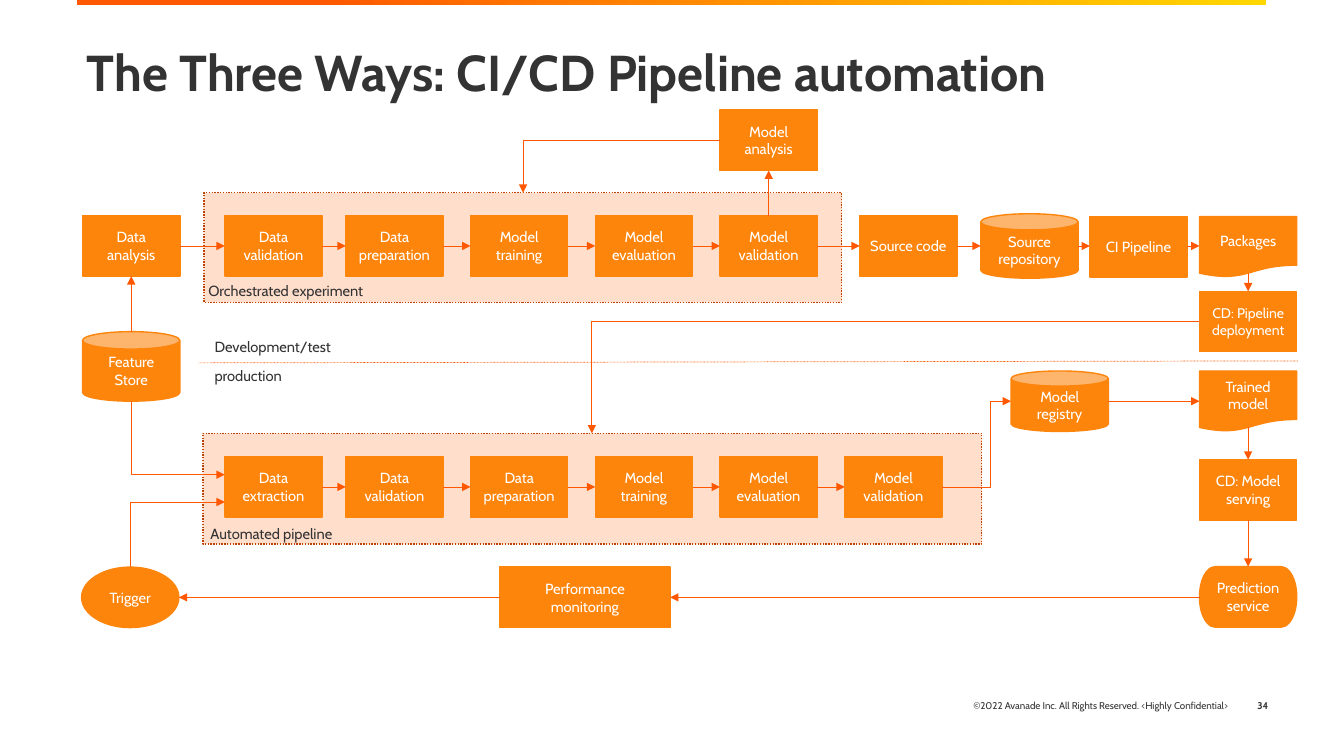
from dataclasses import dataclass
from itertools import pairwise

from lxml import etree
from pptx import Presentation
from pptx import util as u
from pptx.dml import color as clr
from pptx.enum import dml, shapes, text
from pptx.oxml import ns

COLORS = {
    "node": "FD850C", "arrow": "FF5800", "frame": "FFDECC", "frame_line": "BD4100",
    "ink": "333333", "white": "FFFFFF", "yellow": "FFD700",
}
FONT = "Cabin"
W, H = 69.5, 43.2
TOP_ROW, BOTTOM_ROW = 154.1, 326.2
TOP_MID, BOTTOM_MID = TOP_ROW + H / 2, BOTTOM_ROW + H / 2
LEFT, RIGHT = 59, 856.8
LEFT_MID, RIGHT_MID = LEFT + W / 2, RIGHT + W / 2
STEPS = [160.6] + [247 + 89.1 * i for i in range(5)]

G = shapes.MSO_SHAPE
A = text.PP_ALIGN
C = shapes.MSO_CONNECTOR


@dataclass
class Node:
    label: str
    x: float
    y: float
    kind: G = G.RECTANGLE
    w: float = W
    h: float = H
    size: float = 10.5


@dataclass
class Label:
    label: str
    x: float
    y: float
    w: float = 185
    h: float = 20.9
    size: float = 10.5
    bold: bool = False
    align: A = A.LEFT
    anchor: text.MSO_ANCHOR = text.MSO_ANCHOR.TOP


@dataclass
class Frame:
    x: float
    y: float
    w: float
    h: float


@dataclass
class Link:
    x1: float
    y1: float
    x2: float
    y2: float
    bend: str = ""
    arrow: str = "tailEnd"
    adj: float = 0
    dotted: bool = False


FRAMES = [Frame(145.7, 137.7, 455.6, 78.3), Frame(144.9, 309.6, 556.4, 79)]

TOP_STEPS = [Node(t, x, TOP_ROW) for t, x in zip(
    ["Data validation", "Data preparation", "Model training", "Model evaluation",
     "Model validation"], STEPS)]
BOTTOM_STEPS = [Node(t, x, BOTTOM_ROW) for t, x in zip(
    ["Data extraction", "Data validation", "Data preparation", "Model training",
     "Model evaluation", "Model validation"], STEPS)]
TOP_CHAIN = [
    Node("Data analysis", LEFT, TOP_ROW),
    *TOP_STEPS,
    Node("Source code", 614.1, TOP_ROW),
    Node("Source repository", 700.6, 152.7, G.CAN, h=46.1),
    Node("CI Pipeline", 778.5, 154.8),
    Node("Packages", RIGHT, 154.8, G.FLOWCHART_DOCUMENT),
]
OTHER_NODES = [
    Node("Model analysis", STEPS[4], 78.6),
    Node("CD: Pipeline deployment", RIGHT, 208.1, size=10),
    Node("Model registry", 722.2, 265, G.CAN),
    Node("Trained model", RIGHT, 265, G.FLOWCHART_DOCUMENT),
    Node("CD: Model serving", RIGHT, 328.3),
    Node("Prediction service", RIGHT, 404.8, G.FLOWCHART_TERMINATOR),
    Node("Performance monitoring", 357, 405.1, w=121.7),
    Node("Trigger", 58.3, 405.1, G.OVAL),
    Node("Feature Store", LEFT, 236.9, G.CAN, h=49.7),
]

LABELS = [
    Label("Orchestrated experiment", 141.8, 198),
    Label("Development/test", 146.2, 237.6),
    Label("production", 146.2, 258.5),
    Label("Automated pipeline", 143.3, 371.5),
    Label("©2022 Avanade Inc. All Rights Reserved. <Highly Confidential>", 560.2, 489.6,
          324, 28.8, 7, False, A.RIGHT, text.MSO_ANCHOR.MIDDLE),
    Label("34", 878.4, 489.6, 34.6, 28.8, 7, True, A.RIGHT, text.MSO_ANCHOR.MIDDLE),
]

DIVIDER = Link(141.8, 259.2, 927.4, 257.8, arrow="", dotted=True)
VALIDATION_MID = STEPS[4] + W / 2
LINKS = [
    Link(VALIDATION_MID, TOP_ROW, VALIDATION_MID, 121.8),
    Link(STEPS[4], 100.2, 373.7, 137.7, "bentConnector2"),
    Link(RIGHT, 229.7, 422.8, 309.6, "bentConnector2"),
    Link(STEPS[5] + W, BOTTOM_MID, 722.2, 286.6, "bentConnector3", adj=0.7),
    Link(STEPS[0], 339.1, LEFT_MID, 286.6, "bentConnector2", "headEnd"),
    Link(STEPS[0], 358.6, 93, 405.1, "bentConnector2", "headEnd"),
    Link(LEFT_MID, 236.9, LEFT_MID, TOP_ROW + H),
    Link(722.2 + W, 286.6, RIGHT, 286.6),
    Link(RIGHT_MID, 195.1, RIGHT_MID, 208.1),
    Link(RIGHT_MID, 305.3, RIGHT_MID, 328.3),
    Link(RIGHT_MID, 371.5, RIGHT_MID, 404.8),
    Link(RIGHT, 426.7, 478.7, 426.7),
    Link(357, 426.7, 127.8, 426.7),
]


def rgb(name: str) -> clr.RGBColor:
    return clr.RGBColor.from_string(COLORS[name])


def write(tf, content: str, size: float, color: str, bold: bool, align: A) -> None:
    tf.word_wrap = True
    p = tf.paragraphs[0]
    p.text = content
    p.alignment = align
    p.font.name = FONT
    p.font.size = u.Pt(size)
    p.font.bold = bold
    p.font.color.rgb = rgb(color)


def add_box(s, kind: G, x: float, y: float, w: float, h: float, fill: str, line: str):
    sp = s.shapes.add_shape(kind, u.Pt(x), u.Pt(y), u.Pt(w), u.Pt(h))
    sp.shadow.inherit = False
    sp.fill.solid()
    sp.fill.fore_color.rgb = rgb(fill)
    sp.line.color.rgb = rgb(line)
    sp.line.width = u.Pt(1)
    return sp


def add_frame(s, f: Frame) -> None:
    sp = add_box(s, G.RECTANGLE, f.x, f.y, f.w, f.h, "frame", "frame_line")
    sp.line.dash_style = dml.MSO_LINE.ROUND_DOT


def add_node(s, n: Node) -> None:
    sp = add_box(s, n.kind, n.x, n.y, n.w, n.h, "node", "node")
    sp.text_frame.vertical_anchor = text.MSO_ANCHOR.MIDDLE
    write(sp.text_frame, n.label, n.size, "white", False, A.CENTER)


def add_label(s, b: Label) -> None:
    sp = s.shapes.add_textbox(u.Pt(b.x), u.Pt(b.y), u.Pt(b.w), u.Pt(b.h))
    sp.text_frame.vertical_anchor = b.anchor
    write(sp.text_frame, b.label, b.size, "ink", b.bold, b.align)


def add_link(s, k: Link) -> None:
    c = s.shapes.add_connector(C.ELBOW if k.bend else C.STRAIGHT,
                               u.Pt(k.x1), u.Pt(k.y1), u.Pt(k.x2), u.Pt(k.y2))
    c.line.color.rgb = rgb("arrow")
    c.line.width = u.Pt(0.5)
    if k.dotted:
        c.line.dash_style = dml.MSO_LINE.ROUND_DOT
    pr = c._element.spPr
    if k.bend:
        geom = pr.find(ns.qn("a:prstGeom"))
        geom.set("prst", k.bend)
        if k.adj:
            av = geom.find(ns.qn("a:avLst"))
            etree.SubElement(av, ns.qn("a:gd"), name="adj1",
                             fmla=f"val {round(k.adj * 100000)}")
    if k.arrow:
        etree.SubElement(pr.find(ns.qn("a:ln")), ns.qn(f"a:{k.arrow}"), type="triangle")
    etree.SubElement(pr, ns.qn("a:effectLst"))


def add_top_bar(s) -> None:
    sp = add_box(s, G.RECTANGLE, 54.7, 0, 849.6, 3.9, "arrow", "arrow")
    sp.line.fill.background()
    sp.fill.gradient()
    sp.fill.gradient_angle = 0
    for stop, name, pos in zip(sp.fill.gradient_stops, ["arrow", "yellow"], [0.2, 1]):
        stop.color.rgb = rgb(name)
        stop.position = pos


def add_title(s) -> None:
    sp = s.shapes.title
    sp.left, sp.top, sp.width, sp.height = map(u.Pt, (54.7, 31, 848.9, 78.5))
    tf = sp.text_frame
    tf.auto_size = text.MSO_AUTO_SIZE.NONE
    tf.vertical_anchor = text.MSO_ANCHOR.TOP
    write(tf, "The Three Ways: CI/CD Pipeline automation", 36, "ink", True, A.LEFT)
    tf.paragraphs[0].line_spacing = 0.9


def main() -> None:
    prs = Presentation()
    prs.slide_width, prs.slide_height = u.Pt(960), u.Pt(540)
    s = prs.slides.add_slide(prs.slide_layouts[5])
    add_top_bar(s)
    add_title(s)
    add_link(s, DIVIDER)
    for f in FRAMES:
        add_frame(s, f)
    for n in TOP_CHAIN + BOTTOM_STEPS + OTHER_NODES:
        add_node(s, n)
    for b in LABELS:
        add_label(s, b)
    for chain, mid in ((TOP_CHAIN, TOP_MID), (BOTTOM_STEPS, BOTTOM_MID)):
        for a, b in pairwise(chain):
            add_link(s, Link(a.x + a.w, mid, b.x, mid))
    for k in LINKS:
        add_link(s, k)
    prs.save("out.pptx")


if __name__ == "__main__":
    main()
